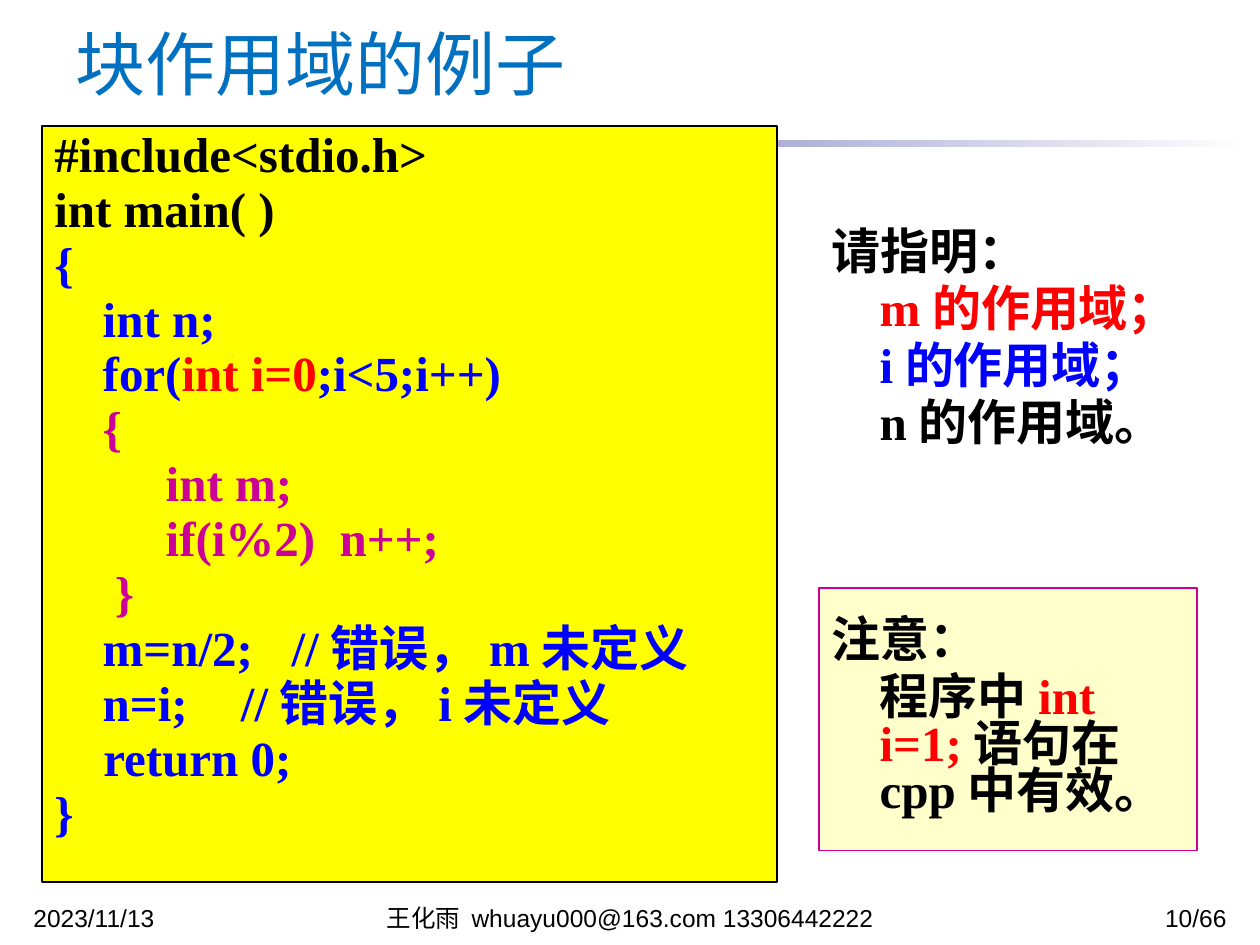
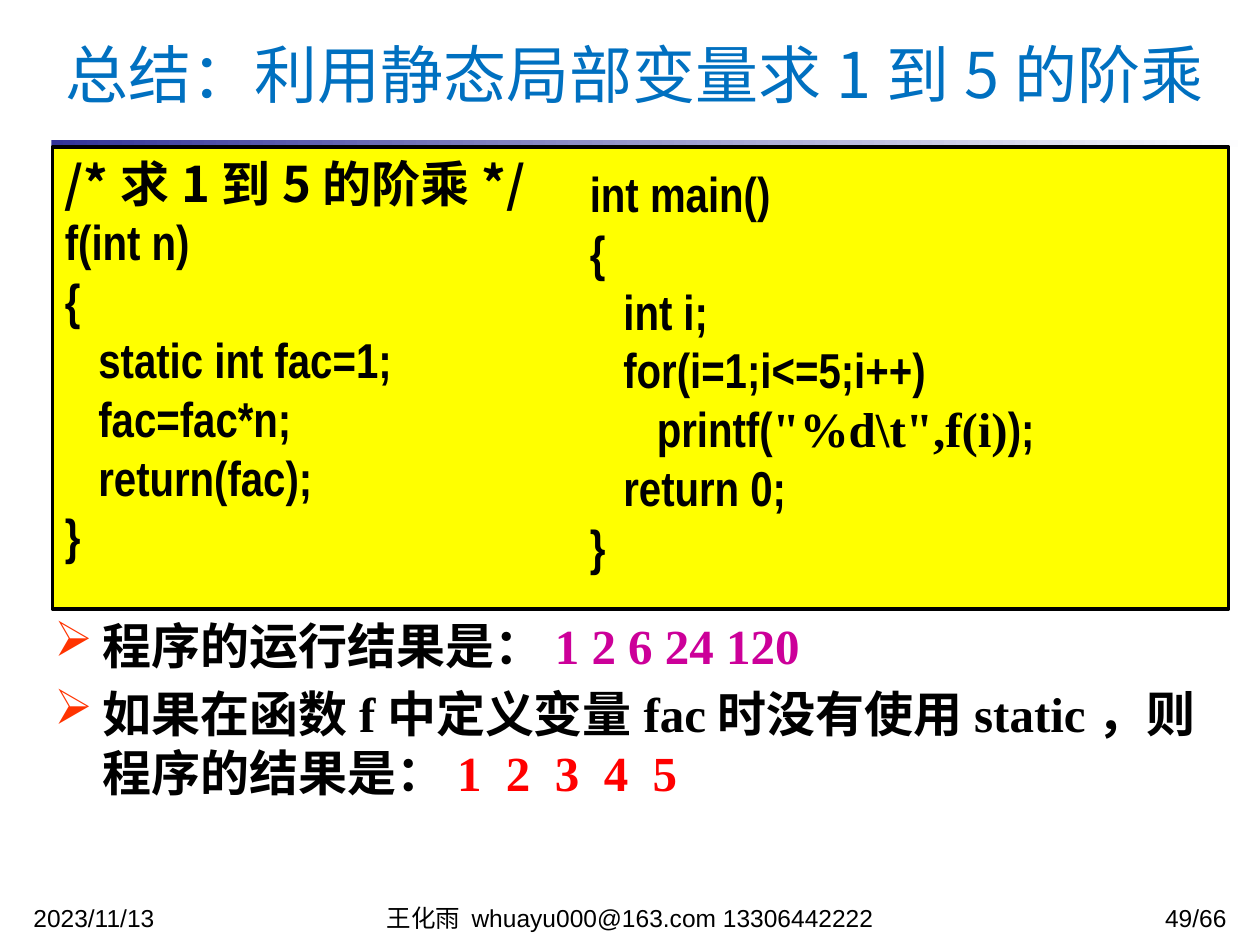
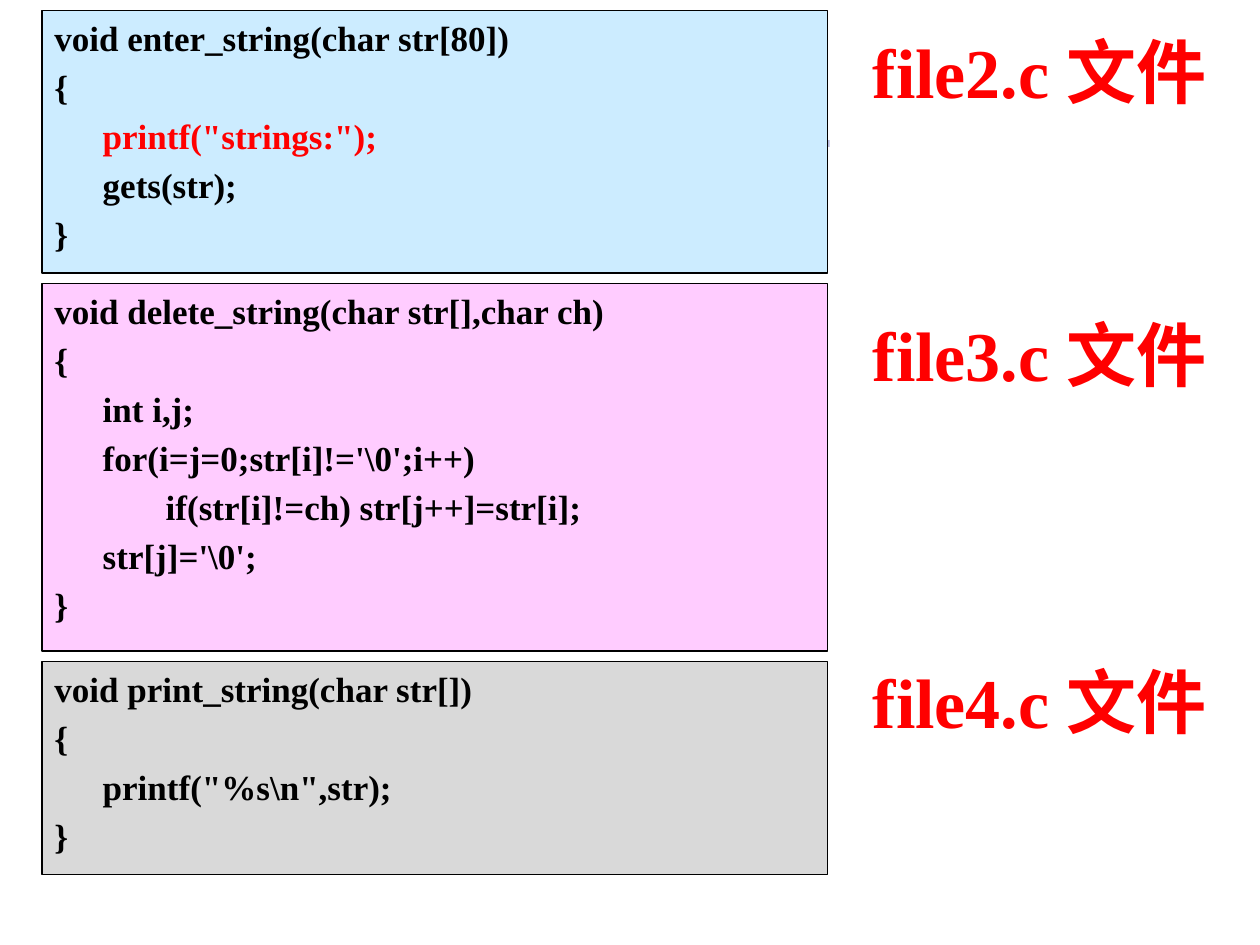
from lxml.etree import SubElement
from pptx import Presentation
from pptx.dml.color import RGBColor
from pptx.enum.shapes import MSO_SHAPE
from pptx.enum.text import MSO_ANCHOR, MSO_AUTO_SIZE, PP_ALIGN
from pptx.oxml.ns import qn
from pptx.util import Emu, Pt

PIXEL = 7620
SERIF, SANS = "Times New Roman", "Arial"
NARROW, CJK = "Arial Narrow", "Noto Sans CJK SC"
BLACK, WHITE, RED, BLUE = "000000", "FFFFFF", "FF0000", "0000FF"
MAGENTA, YELLOW, TITLE_BLUE = "CC0099", "FFFF00", "0070C0"
BAND_BLUE, BULLET_RED, CREAM = "333399", "FF3300", "FFFFCC"
INDENT = 46
LINE_HEIGHT = 1.2
FOOTER = "王化雨 whuayu000@163.com 13306442222"


def color(value):
    """Turn a hex string into a colour."""
    return RGBColor.from_string(value)


def pixels(*values):
    """Turn lengths in px into EMU."""
    return [Emu(value * PIXEL) for value in values]


def apply(target, values):
    """Set each named attribute on the target."""
    for name, value in values.items():
        setattr(target, name, value)


class Deck:
    """Hold the style and the current slide, and draw each kind of element."""

    def __init__(self):
        """Start an empty 4:3 presentation."""
        self.presentation = Presentation()
        size = pixels(1200, 900)
        apply(self.presentation, dict(zip(("slide_width", "slide_height"), size)))

    def new_slide(self, title=None, box=None, size=40, number=None):
        """Add a slide with its band, and its title and footer if given."""
        layout = self.presentation.slide_layouts[5 if title else 6]
        self.slide = self.presentation.slides.add_slide(layout)
        self.band()
        if title:
            self.title(title, box, size)
        if number:
            self.footer(number)

    def band(self):
        """Draw the fading rule below the title."""
        shape = self.rectangle((49, 133, 1141, 7), WHITE)
        shape.fill.gradient()
        shape.fill.gradient_angle = 0
        for stop, value in zip(shape.fill.gradient_stops, (BAND_BLUE, WHITE)):
            stop.color.rgb = color(value)

    def title(self, text, box, size):
        """Move the title placeholder and fill it."""
        shape = self.slide.shapes.title
        apply(shape, dict(zip(("left", "top", "width", "height"), pixels(*box))))
        apply(shape.text_frame, {"auto_size": MSO_AUTO_SIZE.NONE, "word_wrap": True,
                                 "vertical_anchor": MSO_ANCHOR.MIDDLE})
        paragraph = shape.text_frame.paragraphs[0]
        paragraph.alignment = PP_ALIGN.LEFT
        self.text_run(paragraph, text, CJK, size, TITLE_BLUE, False)

    def footer(self, number):
        """Place the date, the author and the page number."""
        fields = (("2023/11/13", 20, 280, PP_ALIGN.LEFT),
                  (FOOTER, 310, 580, PP_ALIGN.CENTER),
                  (number, 950, 230, PP_ALIGN.RIGHT))
        for text, left, width, alignment in fields:
            shape = self.text_box((left, 860, width, 22))
            self.text_lines(shape, [text], font=SANS, size=14, bold=False,
                            spacing=0.8, alignment=alignment)

    def rectangle(self, box, fill, line=None, width=0.75):
        """Draw a flat rectangle."""
        shape = self.slide.shapes.add_shape(MSO_SHAPE.RECTANGLE, *pixels(*box))
        shape.shadow.inherit = False
        shape.fill.solid()
        shape.fill.fore_color.rgb = color(fill)
        if line:
            shape.line.color.rgb = color(line)
            shape.line.width = Pt(width)
        else:
            shape.line.fill.background()
        return shape

    def text_box(self, box):
        """Add an empty text box."""
        return self.slide.shapes.add_textbox(*pixels(*box))

    def text_lines(self, shape, lines, font=SERIF, size=28, ink=BLACK, bold=True,
                   spacing=1, before=0, margin=0, hanging=0, bullet=None,
                   alignment=PP_ALIGN.LEFT, anchor=MSO_ANCHOR.TOP, wrap=True):
        """Fill a shape with lines, each a string or a list of (text, colour, font) runs."""
        frame = shape.text_frame
        apply(frame, {"word_wrap": wrap, "vertical_anchor": anchor})
        for index, line in enumerate(lines):
            paragraph = frame.add_paragraph() if index else frame.paragraphs[0]
            first = -hanging if hanging else (margin if index else 0) - margin
            self.indent(paragraph, margin, first, bullet)
            apply(paragraph, {"alignment": alignment,
                              "line_spacing": Pt(size * LINE_HEIGHT * spacing),
                              "space_before": Pt(size * before if index else 0)})
            for part in [(line,)] if isinstance(line, str) else line:
                text, run_ink, run_font = (*part, None, None)[:3]
                self.text_run(paragraph, text, run_font or font, size,
                              run_ink or ink, bold)

    def indent(self, paragraph, margin, first, bullet):
        """Set the indents and the bullet of a paragraph."""
        properties = paragraph._p.get_or_add_pPr()
        properties.set("marL", str(margin * PIXEL))
        properties.set("indent", str(first * PIXEL))
        if bullet:
            ink = SubElement(properties, qn("a:buClr"))
            SubElement(ink, qn("a:srgbClr")).set("val", BULLET_RED)
            SubElement(properties, qn("a:buChar")).set("char", bullet)
        else:
            SubElement(properties, qn("a:buNone"))

    def text_run(self, paragraph, text, font, size, ink, bold):
        """Add one formatted run."""
        run = paragraph.add_run()
        run.text = text
        apply(run.font, {"name": font, "size": Pt(size), "bold": bold})
        run.font.color.rgb = color(ink)
        SubElement(run._r.get_or_add_rPr(), qn("a:ea")).set("typeface", CJK)


def scope_slide(deck):
    """Build the slide on block scope."""
    deck.new_slide("块作用域的例子", (60, 20, 1120, 80), 40, "10/66")
    code = deck.rectangle((40, 120, 700, 720), YELLOW, BLACK)
    deck.text_lines(code, [
        [("#include<stdio.h>", BLACK)],
        [("int main( )", BLACK)],
        "{",
        "\tint n;",
        [("\tfor(",), ("int i=0", RED), (";i<5;i++)",)],
        [("\t{", MAGENTA)],
        [("\t\tint m;", MAGENTA)],
        [("\t\tif(i%2)  n++;", MAGENTA)],
        [("\t }", MAGENTA)],
        "\tm=n/2;\t//错误，m未定义",
        "\tn=i;\t //错误，i未定义",
        "    return 0;",
        "}",
    ], ink=BLUE, spacing=0.85, before=0.1, margin=INDENT, hanging=INDENT,
        alignment=PP_ALIGN.JUSTIFY)
    note_style = {"spacing": 0.8, "before": 0.2, "margin": INDENT,
                  "anchor": MSO_ANCHOR.MIDDLE}
    question = deck.text_box((780, 200, 360, 250))
    deck.text_lines(question, ["请指明：", [("m的作用域；", RED)],
                               [("i的作用域；", BLUE)], "n的作用域。"], **note_style)
    notice = deck.rectangle((780, 560, 360, 250), CREAM, MAGENTA)
    deck.text_lines(notice, ["注意：", [("程序中",), ("int i=1;", RED),
                                     ("语句在cpp中有效。",)]], **note_style)


def factorial_slide(deck):
    """Build the slide on static local variables."""
    deck.new_slide("总结：利用静态局部变量求1到5的阶乘", (50, 40, 1120, 60), 36, "49/66")
    results = deck.text_box((40, 580, 1120, 230))
    deck.text_lines(results, [
        [("程序的运行结果是：",), ("1 2 6 24 120", MAGENTA)],
        [("如果在函数f中定义变量fac时没有使用static，则程序的结果是：",),
         ("1  2  3  4  5", RED)],
    ], before=0.2, margin=INDENT, hanging=INDENT, bullet="➢")
    function_code = deck.rectangle((50, 140, 1120, 440), YELLOW, BLACK, 2)
    deck.text_lines(function_code, [
        [("/*求1到5的阶乘*/", BLACK, CJK)],
        "f(int n)",
        "{",
        "   static int fac=1;",
        "   fac=fac*n;",
        "   return(fac);",
        "}",
    ], font=NARROW, margin=INDENT, hanging=INDENT)
    main_code = deck.rectangle((550, 150, 540, 310), YELLOW)
    deck.text_lines(main_code, [
        "int main()",
        "{",
        "   int i;",
        "   for(i=1;i<=5;i++)",
        [("      printf(",), ("\"%d\\t\",f(i)", BLACK, SERIF), (");",)],
        "   return 0;",
        "}",
    ], font=NARROW, wrap=False)


def files_slide(deck):
    """Build the slide with one function per source file."""
    deck.new_slide()
    files = (
        ("file2.c文件", "CCECFF", 10, 250, 10, 130,
         ["void enter_string(char str[80])", "{", [("\tprintf(\"strings:\");", RED)],
          "\tgets(str);", "}"]),
        ("file3.c文件", "FFCCFF", 270, 350, 280, 130,
         ["void delete_string(char str[],char ch)", "{", "\tint i,j;",
          "\tfor(i=j=0;str[i]!='\\0';i++)", "\t\tif(str[i]!=ch) str[j++]=str[i];",
          "\tstr[j]='\\0';", "}"]),
        ("file4.c文件", "D9D9D9", 630, 203, 630, 90,
         ["void print_string(char str[])", "{", "\tprintf(\"%s\\n\",str);", "}"]),
    )
    for name, fill, top, height, label_top, label_height, lines in files:
        code = deck.rectangle((40, top, 748, height), fill, BLACK)
        deck.text_lines(code, lines, size=20, before=0.2, margin=INDENT, hanging=INDENT)
        label = deck.rectangle((790, label_top, 400, label_height), WHITE)
        deck.text_lines(label, [name], size=40, ink=RED, spacing=0.8,
                        alignment=PP_ALIGN.CENTER, anchor=MSO_ANCHOR.MIDDLE)


def main():
    """Build the three slides and save them."""
    deck = Deck()
    for build in (scope_slide, factorial_slide, files_slide):
        build(deck)
    deck.presentation.save("out.pptx")


if __name__ == "__main__":
    main()
